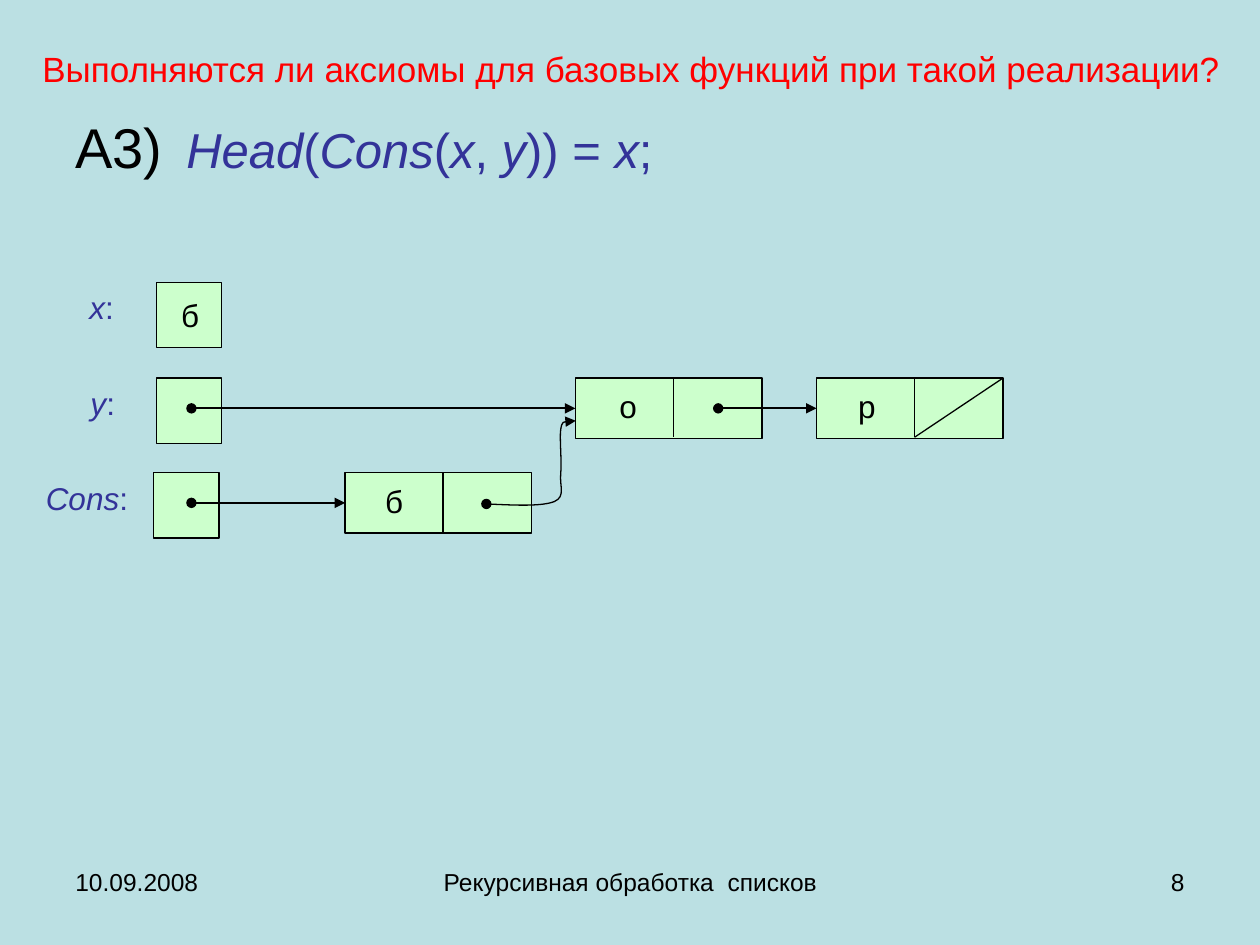
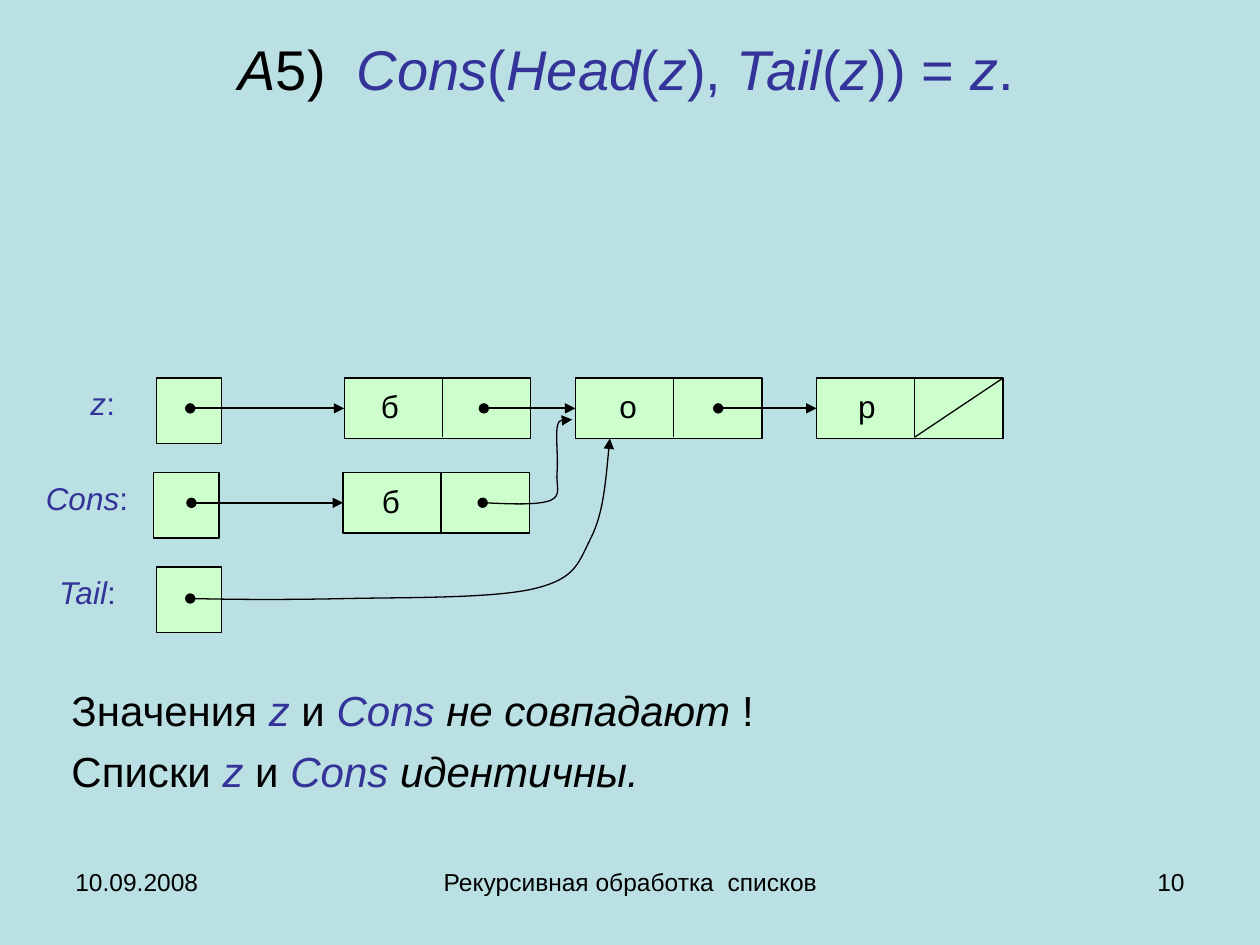
from lxml.etree import SubElement
from pptx import Presentation
from pptx.dml.color import RGBColor
from pptx.enum.shapes import MSO_CONNECTOR, MSO_SHAPE
from pptx.enum.text import MSO_ANCHOR, PP_ALIGN
from pptx.oxml.ns import qn
from pptx.util import Pt

# Shared look
HUES = {"back": "BBE0E3", "cell": "CCFFCC", "ink": "000000",
        "blue": "333399", "red": "FF0000"}
FONT = "Arial"
BOX = 37.4                      # side of a variable's box
WIDE, HIGH, CUT = 106.6, 34.7, 56  # list cell and its divider
ROWS = {"top": 161.3, "mid": 216, "low": 270, "end": 324}
LEFT, MID, RIGHT = PP_ALIGN.LEFT, PP_ALIGN.CENTER, PP_ALIGN.RIGHT
PAD, TIGHT = (7.2, 3.6), (1.44, 0.72)

DATE, TOPIC = "10.09.2008", "Рекурсивная обработка  списков"

# Curves: control points relative to the start, three to a bend
HOOK = [(15.8, 0.7), (31.7, 1.4), (38.9, -1.4),
        (45.4, -4.3), (41.8, -10.1), (42.5, -17.3),
        (43.2, -23.8), (41.8, -37.4), (42.5, -42.5),
        (43.2, -47.5), (45.4, -46.8), (46.8, -47.5),
        (48.2, -48.2), (49.7, -47.5), (51.1, -47.5)]
SWEEP = [(28.8, 0.7), (57.6, 0.7), (90.7, 0),
         (123.8, -0.7), (174.2, 0), (197.3, -5.8),
         (220.3, -11.5), (221.8, -20.2), (229, -34.6),
         (236.2, -49), (237.6, -69.8), (239.8, -91.4)]

# Content; text parts are (hue, size, text), with *italics* between stars
# vars: name, row, box left, label centre, label width
# cells: key, letter, row, left, letter offset, last in list
# links: dot x, target cell
CONS = ("Cons", "low", 87.8, 49.7, 67.7)
TAIL = [("o", "о", "mid", 328.8, 23, False),
        ("p", "р", "mid", 466.6, 21.6, True)]
SLIDES = [
    {
        "page": "8",
        "texts": [
            ((10.8, 10.1, 699.8, 57.6), MID, [
                [("red", 20, "Выполняются ли аксиомы для базовых функций "
                             "при такой реализации?")]]),
            ((36, 60.5, 648, 46.8), LEFT, [
                [("ink", 32, "A3) \t"),
                 ("blue", 28, "*Head*(*Cons*(*x*, *y*)) = *x*;")]]),
        ],
        "vars": [("x", "top", 89.3, 58, 46.8),
                 ("y", "mid", 89.3, 58.7, 46.8), CONS],
        "cells": TAIL + [("new", "б", "low", 197.2, 20.9, False)],
        "links": [(109.4, "o"), (410.4, "p"), (109.4, "new")],
        "curves": [(277.9, 288, HOOK)],
    },
    {
        "page": "10",
        "texts": [
            ((33.8, 5.8, 648, 66.2), MID, [
                [("ink", 32, "*A*5)  "),
                 ("blue", 32, "*Cons*(*Head*(*z*), *Tail*(*z*)) = *z*.")]]),
            ((33.8, 387.4, 648, 72.7), LEFT, [
                [("ink", 24, "Значения "), ("blue", 24, "*z *"),
                 ("ink", 24, "и "), ("blue", 24, "*Cons *"),
                 ("ink", 24, "*не совпадают *!")],
                [("ink", 24, "Списки "), ("blue", 24, "*z *"),
                 ("ink", 24, "и "), ("blue", 24, "*Cons *"),
                 ("ink", 24, "*идентичны.*")]]),
        ],
        "vars": [("z", "mid", 89.3, 58.7, 46.8), CONS,
                 ("Tail", "end", 89.3, 50, 61.2)],
        "cells": TAIL + [("b", "б", "mid", 196.7, 18.9, False),
                         ("new", "б", "low", 196, 20.2, False)],
        "links": [(108.7, "b"), (276.5, "o"), (410.4, "p"), (109.4, "new")],
        "curves": [(275.8, 287.3, HOOK), (108.7, 342, SWEEP)],
    },
]


def hue(name):
    return RGBColor.from_string(HUES[name])


def write(slide, area, lines, align, pad=PAD, anchor=MSO_ANCHOR.TOP):
    """Add a text box and return its paragraphs."""
    frame = slide.shapes.add_textbox(*map(Pt, area)).text_frame
    frame.word_wrap = True
    frame.vertical_anchor = anchor
    frame.margin_left = frame.margin_right = Pt(pad[0])
    frame.margin_top = frame.margin_bottom = Pt(pad[1])
    for num, parts in enumerate(lines):
        para = frame.add_paragraph() if num else frame.paragraphs[0]
        para.alignment = align
        if num:
            para.space_before = Pt(6)
        for tint, size, text in parts:
            for turn, piece in enumerate(text.split("*")):
                if piece:
                    run = para.add_run()
                    run.text = piece
                    run.font.name, run.font.size = FONT, Pt(size)
                    run.font.italic = turn % 2 == 1
                    run.font.color.rgb = hue(tint)
    return frame.paragraphs


def hang(para):
    """Give a hanging indent with a tab stop."""
    props = para._p.get_or_add_pPr()
    props.set("marL", str(Pt(27.4)))
    props.set("indent", str(-Pt(27.4)))
    tabs = SubElement(props, qn("a:tabLst"))
    SubElement(tabs, qn("a:tab"), pos=str(Pt(72)), algn="l")


def rect(slide, *area):
    shape = slide.shapes.add_shape(MSO_SHAPE.RECTANGLE, *map(Pt, area))
    shape.shadow.inherit = False
    shape.fill.solid()
    shape.fill.fore_color.rgb = hue("cell")
    stroke(shape, 0.75)
    return shape


def stroke(shape, width, arrow=False):
    shape.line.color.rgb = hue("ink")
    shape.line.width = Pt(width)
    if arrow:
        line = shape.line._get_or_add_ln()
        SubElement(line, qn("a:headEnd"), type="oval")
        SubElement(line, qn("a:tailEnd"), type="triangle")


def rule(slide, *ends, width=0.75, arrow=False):
    line = slide.shapes.add_connector(MSO_CONNECTOR.STRAIGHT, *map(Pt, ends))
    stroke(line, width, arrow)
    SubElement(line._element.spPr, qn("a:effectLst"))
    return line


def curve(slide, left, top, steps):
    """Draw a dotted-start arrow through cubic bends."""
    pen = slide.shapes.build_freeform(Pt(left), Pt(top))
    pen.add_line_segments([(Pt(left + x), Pt(top + y)) for x, y in steps],
                          close=False)
    shape = pen.convert_to_shape()
    shape.shadow.inherit = False
    shape.fill.background()
    stroke(shape, 0.75, arrow=True)
    track = next(shape._element.iter(qn("a:path")))
    legs = track.findall(qn("a:lnTo"))
    for num in range(0, len(legs), 3):
        bend = SubElement(track, qn("a:cubicBezTo"))
        for leg in legs[num:num + 3]:
            bend.append(leg[0])
            track.remove(leg)


def cell(slide, letter, row, left, shift, last):
    top = ROWS[row]
    shape = rect(slide, left, top, WIDE, HIGH)
    split, base = left + CUT, top + HIGH - 0.8
    rule(slide, split, top, split, base)
    if last:
        rule(slide, left + WIDE, top, split, base)
    write(slide, (left + shift, top + 4.5, 14.4, 23),
          [[("ink", 18, letter)]], MID, TIGHT)
    return shape


def build(deck, data):
    slide = deck.slides.add_slide(deck.slide_layouts[6])
    slide.background.fill.solid()
    slide.background.fill.fore_color.rgb = hue("back")

    # Title and body
    for area, align, lines in data["texts"]:
        title = align == MID
        paras = write(slide, area, lines, align,
                      anchor=MSO_ANCHOR.MIDDLE if title else MSO_ANCHOR.TOP)
        if not title:
            for para in paras:
                hang(para)

    # Variables with labels
    for name, row, left, mid, width in data["vars"]:
        top = ROWS[row]
        rect(slide, left, top, BOX, BOX)
        write(slide, (mid - width / 2, top, width, 28.8),
              [[("blue", 18, f"*{name}*:")]], MID)
        if name == "x":
            write(slide, (101.5, top + 7.2, 14.4, 23),
                  [[("ink", 18, "б")]], MID, TIGHT)

    # List cells, then the arrows between them
    cells = {key: cell(slide, *rest) for key, *rest in data["cells"]}
    for start, key in data["links"]:
        goal = cells[key]
        mid = goal.top.pt + HIGH / 2
        link = rule(slide, start, mid, goal.left.pt, mid, width=1, arrow=True)
        link.end_connect(goal, 1)
    for left, top, steps in data["curves"]:
        curve(slide, left, top, steps)

    # Footer
    for left, width, text, align in [(36, 167.8, DATE, LEFT),
                                     (246.2, 228.2, TOPIC, MID),
                                     (516.2, 167.8, data["page"], RIGHT)]:
        write(slide, (left, 491.8, width, 37.4), [[("ink", 14, text)]], align)


def main():
    deck = Presentation()
    deck.slide_width, deck.slide_height = Pt(720), Pt(540)
    for data in SLIDES:
        build(deck, data)
    deck.save("out.pptx")


if __name__ == "__main__":
    main()
